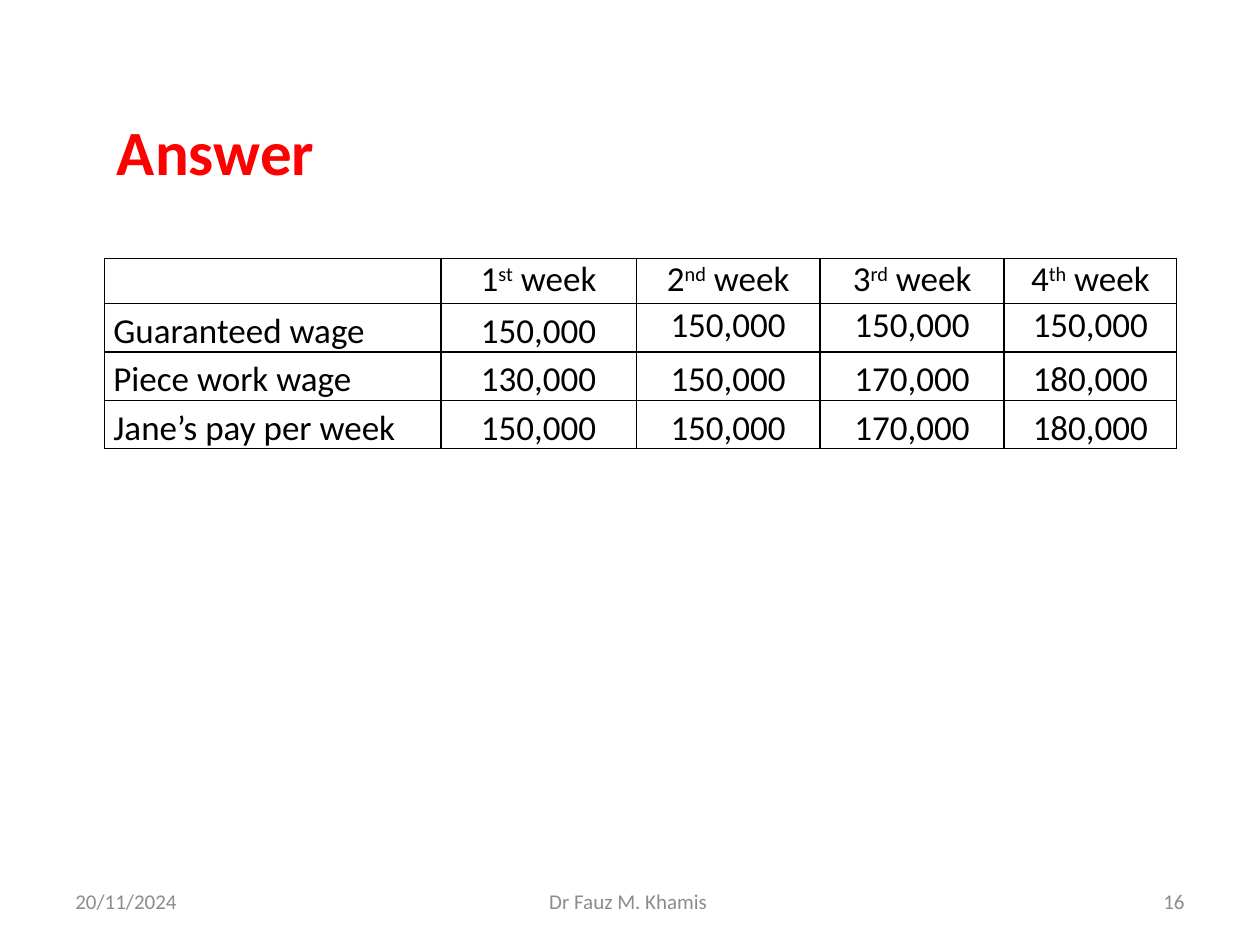
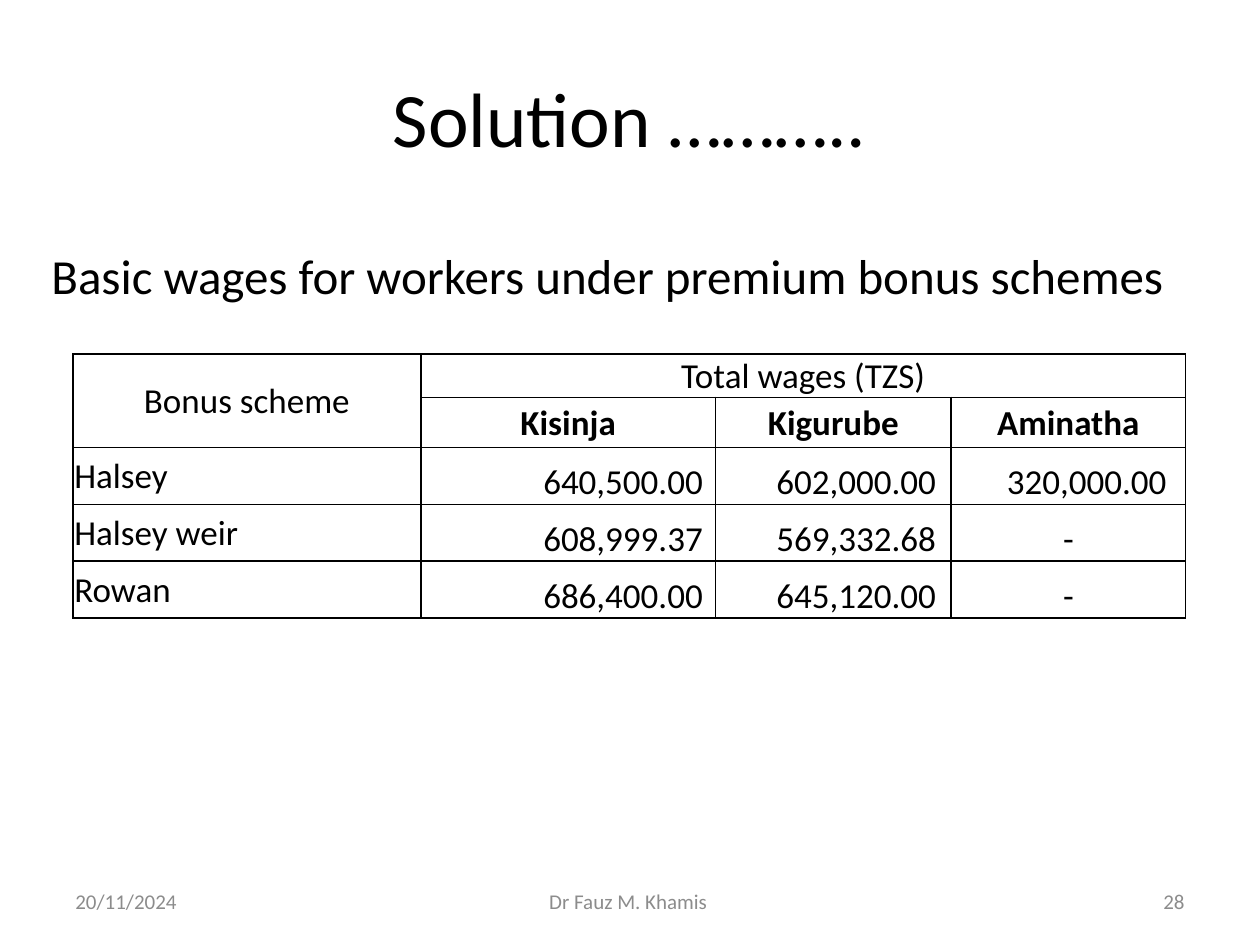
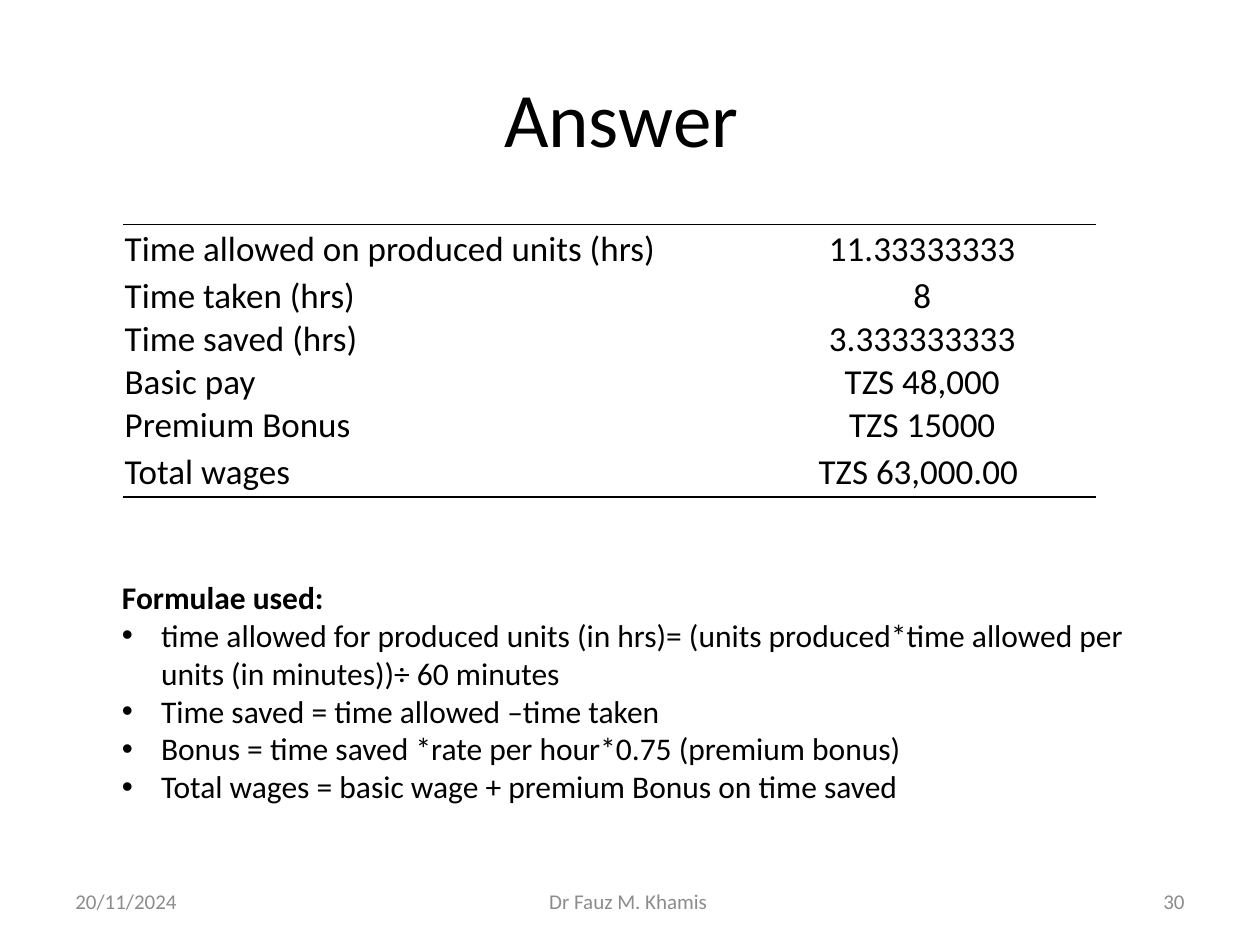
from lxml.etree import SubElement
from pptx import Presentation
from pptx.dml.color import RGBColor
from pptx.enum.text import MSO_ANCHOR, PP_ALIGN
from pptx.oxml.ns import qn
from pptx.util import Inches, Pt

COLORS = {"text": "000000", "accent": "FF0000", "footer": "8C8C8C", "border": "000000"}
FONT = "Calibri"
PLAIN_TABLE = "{2D5ABB26-0587-4C30-8999-92F81FD0307C}"
LEFT, CENTER, RIGHT, JUSTIFY = PP_ALIGN.LEFT, PP_ALIGN.CENTER, PP_ALIGN.RIGHT, PP_ALIGN.JUSTIFY
TOP, MIDDLE, BOTTOM = MSO_ANCHOR.TOP, MSO_ANCHOR.MIDDLE, MSO_ANCHOR.BOTTOM


class Deck:
    """Holds the shared style and the current slide."""

    def __init__(self):
        self.prs = Presentation()
        self.prs.slide_width, self.prs.slide_height = Inches(10), Inches(7.5)
        self.s = None

    def slide(self, number):
        self.s = self.prs.slides.add_slide(self.prs.slide_layouts[6])
        footers = [(0.5, 2.33, "20/11/2024", LEFT),
                   (3.42, 3.17, "Dr Fauz M. Khamis ", CENTER),
                   (7.17, 2.33, str(number), RIGHT)]
        for left, width, text, align in footers:
            self.text((left, 6.95, width, 0.4), text, 12, "footer", align, MIDDLE)

    def title(self, text):
        self.text((0.5, 0.3, 9, 1.25), text, 44, align=CENTER, anchor=MIDDLE)

    def format(self, p, size, color="text", align=LEFT, bold=False):
        p.alignment = align
        for r in p.runs:
            r.font.name, r.font.size, r.font.bold = FONT, Pt(size), bold
            r.font.color.rgb = RGBColor.from_string(COLORS[color])

    def text(self, at, text, size, color="text", align=LEFT, anchor=TOP, bold=False):
        tf = self.s.shapes.add_textbox(*map(Inches, at)).text_frame
        tf.word_wrap, tf.vertical_anchor = True, anchor
        tf.text = text
        for p in tf.paragraphs:
            self.format(p, size, color, align, bold)
        return tf

    def bullet(self, p, indent=0.31):
        pPr = p._p.get_or_add_pPr()
        pPr.set("marL", str(Inches(indent)))
        pPr.set("indent", str(-Inches(indent)))
        SubElement(pPr, qn("a:buFont"), typeface="Arial")
        SubElement(pPr, qn("a:buChar"), char="•")

    def borders(self, cell, sides):
        tcPr = cell._tc.get_or_add_tcPr()
        for side in "LRTB":
            ln = SubElement(tcPr, qn("a:ln" + side), w=str(Pt(1)))
            if side in sides:
                fill = SubElement(ln, qn("a:solidFill"))
                SubElement(fill, qn("a:srgbClr"), val=COLORS["border"])
            else:
                SubElement(ln, qn("a:noFill"))

    def cell(self, cell, text, margins, sides="LRTB", align=CENTER, anchor=MIDDLE,
             bold=False, spacing=None):
        """Fill one cell; text between ^ marks is superscript."""
        (cell.margin_left, cell.margin_top,
         cell.margin_right, cell.margin_bottom) = map(Inches, margins)
        cell.vertical_anchor = anchor
        p = cell.text_frame.paragraphs[0]
        for i, part in enumerate(text.split("^") if text else []):
            r = p.add_run()
            r.text = part
            if i % 2:
                r._r.get_or_add_rPr().set("baseline", "30000")
        self.format(p, 20, align=align, bold=bold)
        if spacing:
            p.line_spacing = spacing
        self.borders(cell, sides)
        cell.fill.background()

    def table(self, left, top, cols, rows, data, style):
        """style(row, col) gives the keyword arguments of each cell."""
        frame = self.s.shapes.add_table(len(rows), len(cols), Inches(left), Inches(top),
                                        Inches(sum(cols)), Inches(sum(rows)))
        tbl = frame.table
        tbl.first_row = tbl.horz_banding = False
        tbl._tbl.tblPr.find(qn("a:tableStyleId")).text = PLAIN_TABLE
        for column, width in zip(tbl.columns, cols):
            column.width = Inches(width)
        for row, height in zip(tbl.rows, rows):
            row.height = Inches(height)
        for i, values in enumerate(data):
            for j, value in enumerate(values):
                self.cell(tbl.cell(i, j), value, **style(i, j))
        return tbl


def weekly_pay(deck):
    deck.slide(16)
    data = [["", "1^st^ week", "2^nd^ week", "3^rd^ week", "4^th^ week"],
            ["Guaranteed wage ", "150,000", "150,000", "150,000", "150,000"],
            ["Piece work wage", "130,000", "150,000", "170,000", "180,000"],
            ["Jane’s pay per week", "150,000", "150,000", "170,000", "180,000"]]

    def style(i, j):
        loose = i > 1 or (i == 1 and j < 2)
        return dict(margins=(0.07, 0, 0.07, 0), anchor=TOP,
                    align=CENTER if j else JUSTIFY, spacing=1.15 if loose else None)

    deck.table(0.83, 2.05, [2.67, 1.55, 1.46, 1.46, 1.37], [0.36, 0.32, 0.36, 0.31],
               data, style)
    deck.text((0.83, 0.84, 7.17, 0.71), "Answer", 36, "accent", bold=True)


def bonus_schemes(deck):
    deck.slide(28)
    deck.title("Solution ………..")
    data = [["Bonus scheme", "Total wages (TZS)", "", ""],
            ["", "Kisinja", "Kigurube", "Aminatha"],
            ["Halsey ", "640,500.00", "602,000.00", "320,000.00"],
            ["Halsey weir", "608,999.37", "569,332.68", "-"],
            ["Rowan ", "686,400.00", "645,120.00", "-"]]
    amount_margins = [0.01, 0.1, 0.12, 0.15]

    def style(i, j):
        amount = i > 1 and j > 0 and data[i][j] != "-"
        align = RIGHT if amount else JUSTIFY if i > 1 and j == 0 else CENTER
        return dict(margins=(0.01, 0.01, amount_margins[j] if amount else 0.01, 0),
                    align=align, bold=i == 1,
                    anchor=BOTTOM if j and i != 1 else MIDDLE)

    tbl = deck.table(0.58, 2.81, [2.76, 2.34, 1.87, 1.86], [0.32, 0.4] + [0.45] * 3,
                     data, style)
    tbl.cell(0, 0).merge(tbl.cell(1, 0))
    tbl.cell(0, 1).merge(tbl.cell(0, 3))
    deck.text((0.31, 1.9, 9.37, 0.57),
              "Basic wages for workers under premium bonus schemes", 28)


def premium_bonus(deck):
    deck.slide(30)
    deck.title("Answer ")
    data = [["Time allowed on produced units (hrs)", "11.33333333"],
            ["Time taken (hrs)", "8"],
            ["Time saved (hrs)", "3.333333333"],
            ["Basic pay", "TZS 48,000"],
            ["Premium Bonus ", "TZS 15000"],
            ["Total wages", "TZS 63,000.00 "]]

    def style(i, j):
        return dict(margins=(0.01, 0.01, 0.01, 0), align=CENTER if j else JUSTIFY,
                    sides={0: "T", len(data) - 1: "B"}.get(i, ""))

    deck.table(0.98, 1.78, [4.96, 2.76], [0.39] + [0.34] * 4 + [0.4], data, style)

    # Formulae
    lines = ["Formulae used:",
             "time allowed for produced units (in hrs)= (units produced*time allowed per "
             "units (in minutes))÷ 60 minutes",
             "Time saved = time allowed –time taken",
             "Bonus = time saved *rate per hour*0.75 (premium bonus)",
             "Total wages = basic wage + premium Bonus on time saved"]
    heading, *formulae = deck.text((0.87, 4.54, 8.27, 1.92), "\n".join(lines), 18).paragraphs
    heading.runs[0].font.bold = True
    for p in formulae:
        deck.bullet(p)


def main():
    deck = Deck()
    weekly_pay(deck)
    bonus_schemes(deck)
    premium_bonus(deck)
    deck.prs.save("out.pptx")


if __name__ == "__main__":
    main()
